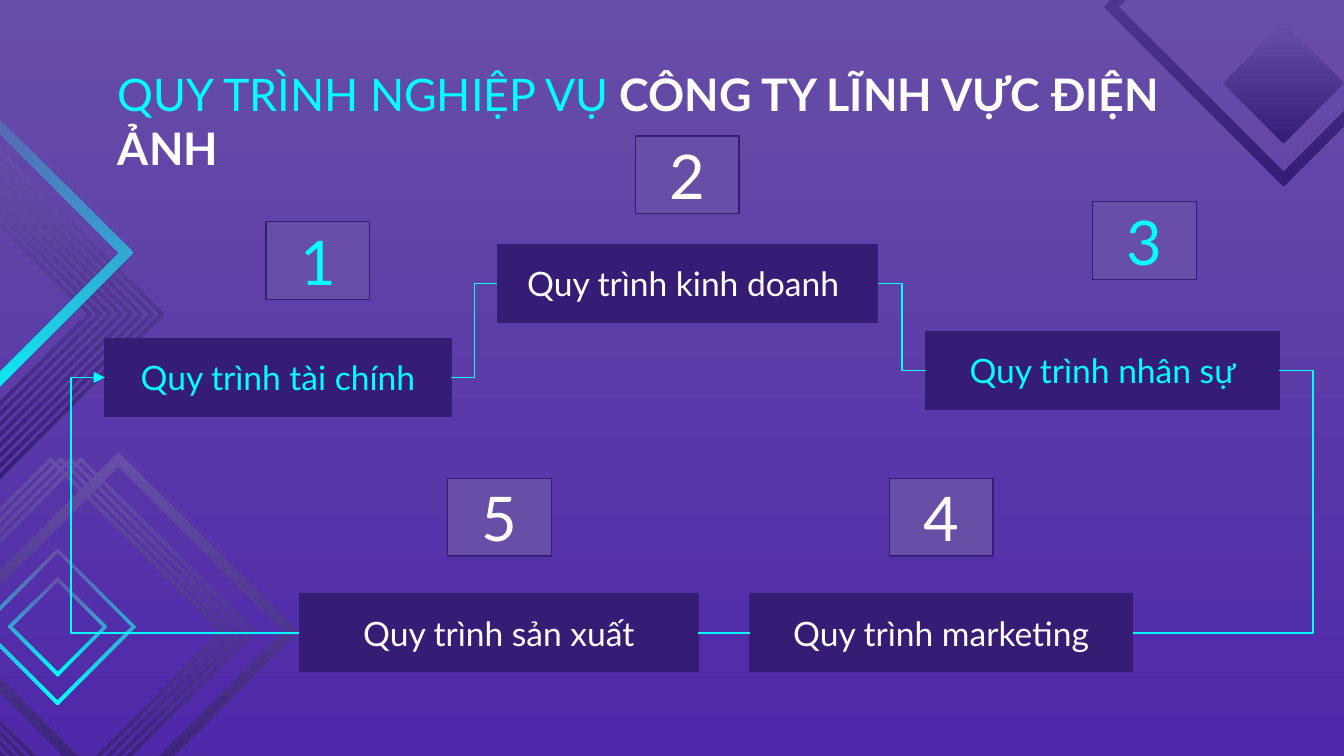
from lxml.etree import SubElement
from pptx import Presentation
from pptx.dml.color import RGBColor
from pptx.enum.shapes import MSO_CONNECTOR as Connector, MSO_SHAPE as Shape
from pptx.enum.text import MSO_ANCHOR as Anchor, MSO_AUTO_SIZE as AutoSize, PP_ALIGN as Align
from pptx.oxml.ns import qn
from pptx.util import Cm, Pt

CYAN = RGBColor(0x00, 0xFF, 0xFF)
WHITE = RGBColor(0xFF, 0xFF, 0xFF)
LILAC = RGBColor(0x67, 0x4E, 0xA7)
INDIGO = RGBColor(0x35, 0x1C, 0x75)
VIOLET = RGBColor(0x4E, 0x29, 0xAA)

FONT = "Lato"
INSET = Cm(0.25)
LEFT_SITE, RIGHT_SITE = 1, 3


def paint_gradient(fill, first, last, angle):
    fill.gradient()
    fill.gradient_angle = angle
    for stop, color in zip(fill.gradient_stops, (first, last)):
        stop.color.rgb = color


def add_tile(left, top, width, text, size, fill_color, text_color):
    tile = slide.shapes.add_shape(Shape.RECTANGLE, Cm(left), Cm(top), Cm(width), Cm(1.47))
    tile.shadow.inherit = False
    tile.fill.solid()
    tile.fill.fore_color.rgb = fill_color
    tile.line.color.rgb = INDIGO
    tile.line.width = Pt(0.75)
    frame = tile.text_frame
    frame.margin_left = frame.margin_right = frame.margin_top = frame.margin_bottom = INSET
    frame.vertical_anchor = Anchor.MIDDLE
    frame.text = text
    paragraph = frame.paragraphs[0]
    paragraph.alignment = Align.CENTER
    font = paragraph.runs[0].font
    font.name, font.size, font.color.rgb = FONT, Pt(size), text_color
    return tile


presentation = Presentation()
presentation.slide_width, presentation.slide_height = Cm(25.4), Cm(14.29)
slide = presentation.slides.add_slide(presentation.slide_layouts[5])
paint_gradient(slide.background.fill, VIOLET, LILAC, 90)

rings = [(0.96 + 0.19 * i, 11.94, 3.3, 3.21, INDIGO) for i in range(4)]
rings += [
    (2.24, 11.94, 3.39, 3.12, INDIGO),
    (1.09, 11.85, 1.48, 1.4, CYAN),
    (1.09, 11.85, 0.94, 0.86, CYAN),
]
rings += [(-1.56 + 0.195 * i, 5.94, 3.3, 3.21, INDIGO) for i in range(8)]
rings += [(-0.87, 4.78, 3.39, 3.12, CYAN), (24.26, 0.13, 3.39, 3.12, INDIGO)]

for x, y, outer, inner, color in rings:
    builder = slide.shapes.build_freeform(Cm(x + outer), Cm(y))
    builder.add_line_segments([(Cm(x), Cm(y - outer)), (Cm(x - outer), Cm(y)), (Cm(x), Cm(y + outer))])
    builder.move_to(Cm(x + inner), Cm(y))
    builder.add_line_segments([(Cm(x), Cm(y + inner)), (Cm(x - inner), Cm(y)), (Cm(x), Cm(y - inner))])
    ring = builder.convert_to_shape()
    ring.shadow.inherit = False
    ring.line.fill.background()
    paint_gradient(ring.fill, LILAC, color, 270)

diamond = slide.shapes.add_shape(Shape.DIAMOND, Cm(23.12), Cm(0.43), Cm(2.28), Cm(2.28))
diamond.shadow.inherit = False
diamond.line.fill.background()
paint_gradient(diamond.fill, LILAC, INDIGO, 270)

title = slide.shapes.title
title.left, title.top, title.width, title.height = Cm(1.98), Cm(1.02), Cm(21.44), Cm(1.6)
frame = title.text_frame
frame.margin_left = frame.margin_right = frame.margin_top = frame.margin_bottom = INSET
frame.word_wrap = True
frame.auto_size = AutoSize.NONE
frame.vertical_anchor = Anchor.TOP
paragraph = frame.paragraphs[0]
paragraph.alignment = Align.LEFT
for text, color, bold in [
    ("QUY TRÌNH NGHIỆP VỤ ", CYAN, False),
    ("CÔNG TY LĨNH VỰC ĐIỆN ẢNH", WHITE, True),
]:
    run = paragraph.add_run()
    run.text = text
    font = run.font
    font.name, font.size, font.bold, font.color.rgb = FONT, Pt(24), bold, color

steps = [
    ("Quy trình tài chính", 1.98, 6.4, 6.55, 5.03, 4.19, CYAN),
    ("Quy trình kinh doanh ", 9.4, 4.62, 7.19, 12.01, 2.57, WHITE),
    ("Quy trình nhân sự", 17.5, 6.27, 6.68, 20.65, 3.81, CYAN),
    ("Quy trình marketing", 14.17, 11.23, 7.24, 16.81, 9.04, WHITE),
    ("Quy trình sản xuất", 5.66, 11.23, 7.54, 8.46, 9.04, WHITE),
]
boxes = []
for number, (text, left, top, width, number_left, number_top, color) in enumerate(steps, 1):
    boxes.append(add_tile(left, top, width, text, 18, INDIGO, color))
    add_tile(number_left, number_top, 1.96, str(number), 33, LILAC, color)

finance, business, staff, marketing, production = boxes
links = [
    (finance, RIGHT_SITE, business, LEFT_SITE, 50000),
    (business, RIGHT_SITE, staff, LEFT_SITE, 50000),
    (staff, RIGHT_SITE, marketing, RIGHT_SITE, -23000),
    (marketing, LEFT_SITE, production, RIGHT_SITE, 50000),
    (production, LEFT_SITE, finance, LEFT_SITE, 117300),
]
for start, start_site, end, end_site, bend in links:
    connector = slide.shapes.add_connector(Connector.ELBOW, 0, 0, 0, 0)
    connector.begin_connect(start, start_site)
    connector.end_connect(end, end_site)
    connector.line.color.rgb = CYAN
    connector.line.width = Pt(0.75)
    properties = connector._element.spPr
    guides = properties.find(qn("a:prstGeom")).find(qn("a:avLst"))
    SubElement(guides, qn("a:gd"), name="adj1", fmla=f"val {bend}")
    SubElement(properties, qn("a:effectLst"))
SubElement(connector.line._get_or_add_ln(), qn("a:tailEnd"), type="triangle")

presentation.save("out.pptx")
